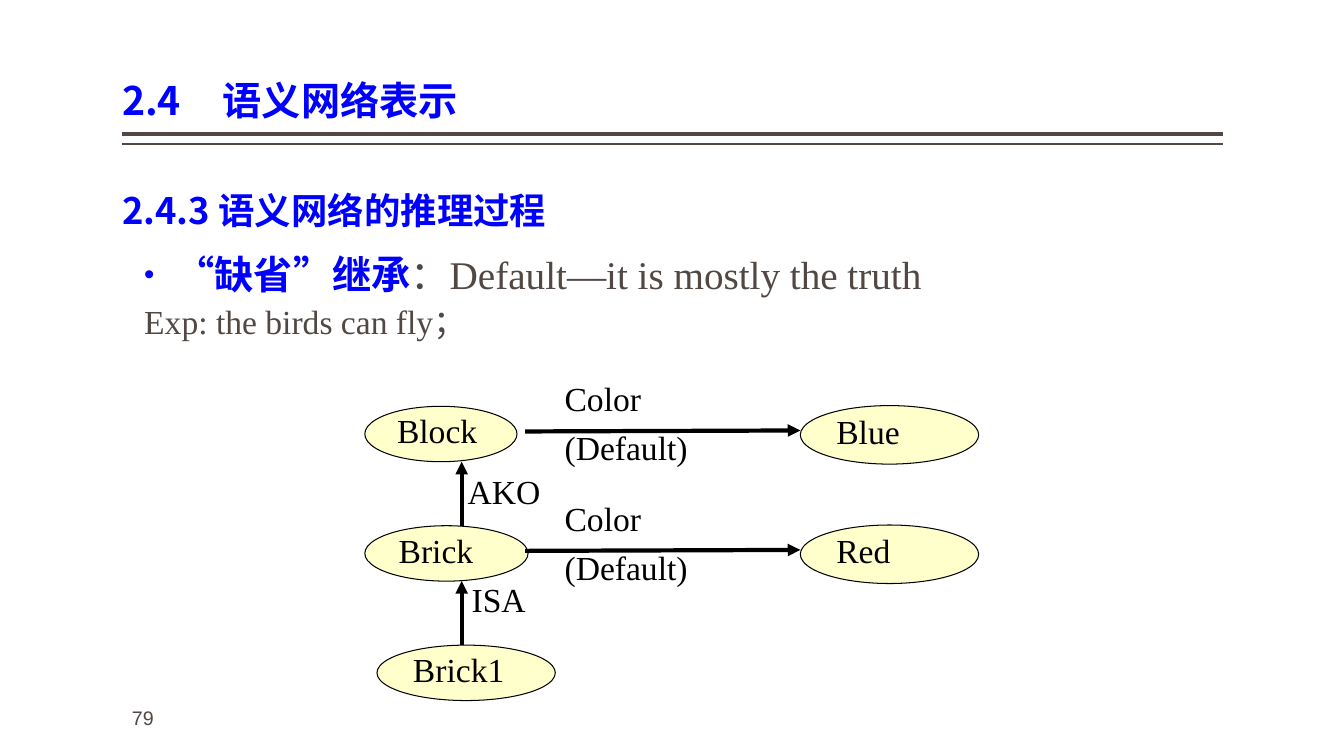
from pptx import Presentation
from pptx import util as u
from pptx.dml import color
from pptx.enum import shapes, text
from pptx.oxml import ns
from lxml import etree

SERIF, SANS, ARIAL = "Times New Roman", "Noto Sans CJK SC", "Arial"
BLUE, GREY, BLACK, CREAM = "0000FF", "514843", "000000", "FFFFCC"


def rgb(value):
    return color.RGBColor.from_string(value)


def add_element(parent, tag, **attributes):
    return etree.SubElement(parent, ns.qn(tag), attributes)


class SlideBuilder:
    def __init__(self, slide):
        self.slide = slide

    def place(self, shape, left, top, width, height):
        shape.left, shape.top = u.Pt(left), u.Pt(top)
        shape.width, shape.height = u.Pt(width), u.Pt(height)

    def style_run(self, run, size, font=SERIF, colour=BLACK, bold=False):
        run.font.size, run.font.name, run.font.bold = u.Pt(size), font, bold
        run.font.color.rgb = rgb(colour)
        add_element(run.font._element, "a:ea", typeface=SANS)

    def indent(self, paragraph, margin=0, first=0, bullet=None, tab=None):
        properties = paragraph._p.get_or_add_pPr()
        properties.set("marL", str(u.Pt(margin)))
        properties.set("indent", str(u.Pt(first)))
        if bullet:
            add_element(properties, "a:buSzPct", val="75000")
            add_element(properties, "a:buFont", typeface=ARIAL)
            add_element(properties, "a:buChar", char=bullet)
        else:
            add_element(properties, "a:buNone")
        if tab:
            tabs = add_element(properties, "a:tabLst")
            add_element(tabs, "a:tab", pos=str(u.Pt(tab)), algn="l")

    def placeholder(self, index, box, lines, inset=0, spacing=0.9,
                    anchor=text.MSO_ANCHOR.TOP):
        shape = self.slide.placeholders[index]
        self.place(shape, *box)
        frame = shape.text_frame
        frame.text = "\n".join(lines)
        frame.word_wrap = True
        frame.auto_size = text.MSO_AUTO_SIZE.NONE
        frame.vertical_anchor = anchor
        frame.margin_left = frame.margin_right = u.Pt(inset)
        for paragraph in frame.paragraphs:
            paragraph.alignment = text.PP_ALIGN.LEFT
            paragraph.line_spacing = spacing
            paragraph.space_before = u.Pt(0)
        return frame.paragraphs

    def fill_text(self, frame, lines, size=24, font=SERIF, colour=BLACK, spacing=0.8):
        frame.text = "\n".join(lines)
        for number, paragraph in enumerate(frame.paragraphs):
            paragraph.alignment = text.PP_ALIGN.LEFT
            paragraph.line_spacing = spacing
            paragraph.space_before = u.Pt(size / 2 if number else 0)
            self.style_run(paragraph.runs[0], size, font, colour)

    def label(self, box, *lines, **style):
        shape = self.slide.shapes.add_textbox(*map(u.Pt, box))
        shape.text_frame.word_wrap = True
        self.fill_text(shape.text_frame, lines, **style)

    def node(self, name, left, top, width, height):
        shape = self.slide.shapes.add_shape(
            shapes.MSO_SHAPE.OVAL, *map(u.Pt, (left, top, width, height)))
        shape.shadow.inherit = False
        shape.fill.solid()
        shape.fill.fore_color.rgb = rgb(CREAM)
        shape.line.color.rgb = rgb(BLACK)
        shape.line.width = u.Pt(0.75)
        shape.text_frame.word_wrap = False
        shape.text_frame.vertical_anchor = text.MSO_ANCHOR.MIDDLE
        self.fill_text(shape.text_frame, [name])

    def line(self, start, end, width=3, colour=BLACK, arrow=True):
        connector = self.slide.shapes.add_connector(
            shapes.MSO_CONNECTOR.STRAIGHT, *map(u.Pt, (*start, *end)))
        connector.line.width = u.Pt(width)
        connector.line.color.rgb = rgb(colour)
        if arrow:
            add_element(connector.line._get_or_add_ln(), "a:tailEnd", type="triangle")
        add_element(connector._element.spPr, "a:effectLst")


def main():
    presentation = Presentation()
    presentation.slide_width, presentation.slide_height = u.Pt(960), u.Pt(540)
    slide = presentation.slides.add_slide(presentation.slide_layouts[3])
    builder = SlideBuilder(slide)

    # Title, double rule and page number
    title, = builder.placeholder(0, (87.2, 5.8, 786.2, 86.4), ["2.4\t语义网络表示"],
                                 anchor=text.MSO_ANCHOR.BOTTOM)
    builder.indent(title, tab=74.5)
    for run in title.runs:
        builder.style_run(run, 28, SANS, BLUE, True)
    for y, width in ((95.8, 3), (103, 1)):
        builder.line((873.4, y), (87.2, y), width, GREY, arrow=False)
    builder.label((87.2, 500.4, 144, 28.8), "79", size=14, font=ARIAL,
                  colour=GREY, spacing=1)

    # Section heading
    heading, = builder.placeholder(1, (87.2, 115.2, 786.2, 66.2),
                                   ["2.4.3 语义网络的推理过程"], spacing=1.5)
    builder.indent(heading)
    builder.style_run(heading.runs[0], 26, SANS, BLUE, True)

    # Default inheritance
    term, example = builder.placeholder(
        2, (59.8, 179.3, 813.6, 81.4), ["“缺省”继承", "Exp: the birds can fly；"], inset=7.2)
    builder.indent(term, 58.5, -22.5, "•")
    builder.indent(example, 58.5, -22.5)
    example.space_before = u.Pt(4.8)
    meaning = term.add_run()
    meaning.text = "：Default—it is mostly the truth"
    builder.style_run(term.runs[0], 28, colour=BLUE, bold=True)
    builder.style_run(meaning, 28, colour=GREY)
    builder.style_run(example.runs[0], 24, colour=GREY)

    # Semantic network: three levels, each joined to the one above
    levels = [290.2 + 85.3 * row for row in range(3)]
    node_height, stem = 39.6, 329.8
    for name, left, top, width in zip(("Block", "Brick", "Brick1"), (260.6, 260.6, 269.3),
                                      levels, (108.7, 116.6, 127.4)):
        builder.node(name, left, top, width, node_height)
    for upper, lower in zip(levels, levels[1:]):
        builder.line((stem, lower), (stem, upper + node_height))
    builder.label((326.9, 338.4, 122.4, 30.2), "AKO")
    builder.label((329.8, 415.4, 84.2, 30.2), "ISA")

    # Default colours of the upper two levels
    for value, top in zip(("Blue", "Red"), levels):
        builder.node(value, 571.7, top - 0.5, 127.4, 41.8)
        builder.line((375.1, top + 18), (571.7, top + 17.3))
        builder.label((396.2, top - 18, 159.1, 68.4), "Color", "(Default)")

    presentation.save("out.pptx")


if __name__ == "__main__":
    main()
